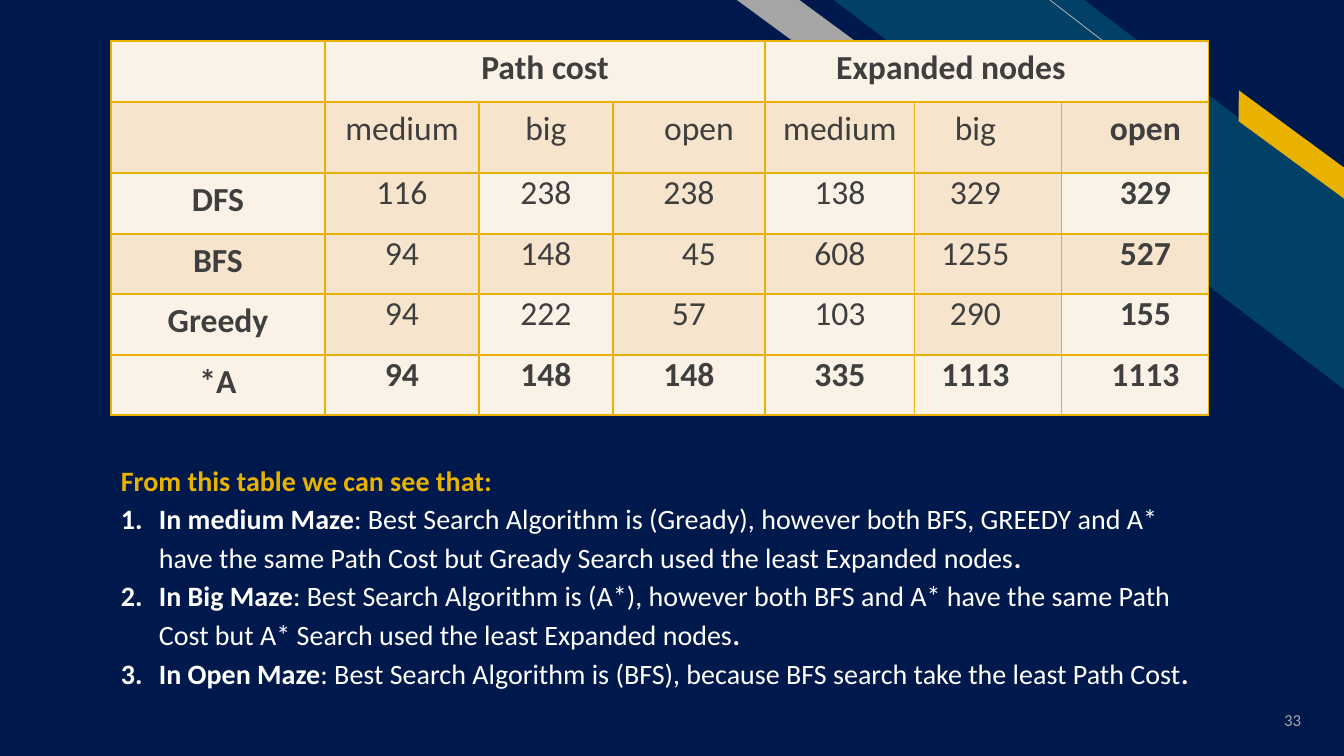
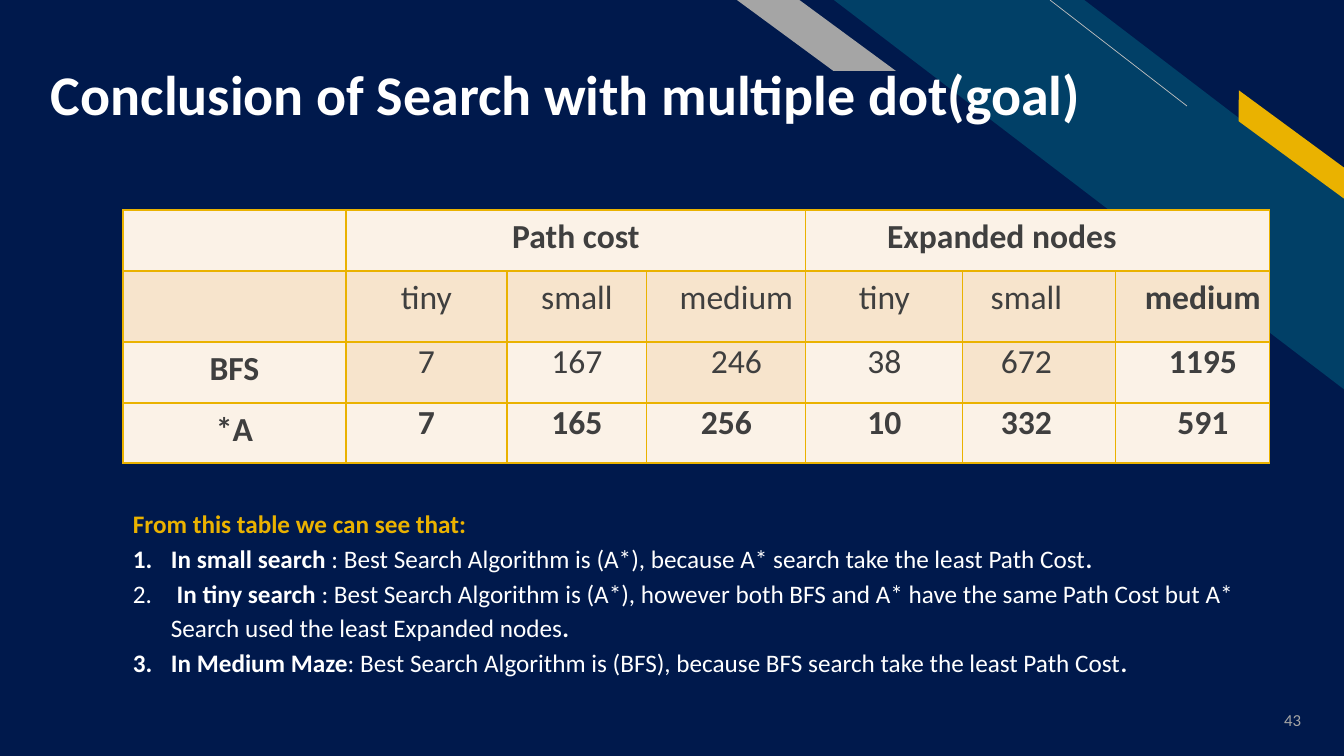
from dataclasses import dataclass

from lxml.etree import SubElement
from pptx import Presentation
from pptx.dml.color import RGBColor
from pptx.enum.shapes import MSO_CONNECTOR, MSO_SHAPE
from pptx.enum.text import MSO_ANCHOR, PP_ALIGN
from pptx.oxml.ns import qn
from pptx.util import Emu, Pt


@dataclass(frozen=True)
class Theme:
    font: str = "Calibri"
    navy: str = "00194C"
    teal: str = "014067"
    gold: str = "EAB200"
    gray: str = "A5A5A5"
    hairline: str = "BFBFBF"
    white: str = "FFFFFF"
    ink: str = "3F3F3F"
    cream: str = "FBF2E7"
    tan: str = "F7E4CC"
    title_size: int = 40
    table_size: int = 24
    page_size: int = 12


THEME = Theme()
SLIDE_W, SLIDE_H = 1344, 756
EMU_PER_PX = 12192000 / SLIDE_W


def px(*lengths):
    """Turn px lengths into EMU."""
    return [Emu(round(length * EMU_PER_PX)) for length in lengths]


def write(paragraph, text, size, color=THEME.white, bold=False, align=None):
    """Add a formatted run to a paragraph."""
    if align is not None:
        paragraph.alignment = align
    run = paragraph.add_run()
    run.text = text
    run.font.name = THEME.font
    run.font.size = Pt(size)
    run.font.bold = bold
    run.font.color.rgb = RGBColor.from_string(color)


# Shared corner decoration: shape, box, rotation, adjustment, colour
STRIPES = [
    (MSO_SHAPE.DIAGONAL_STRIPE, (834, 0, 511, 390), 0, 0.51, THEME.teal),
    (MSO_SHAPE.PARALLELOGRAM, (1217, 132, 149, 25), 36.3, 0.72, THEME.gold),
    (MSO_SHAPE.PARALLELOGRAM, (737, 0, 159, 71), 0, 1.36, THEME.gray),
]

# Slide content
PAGES = [
    {
        "number": "33",
        "title": None,
        "table_at": (111, 41),
        "columns": [214, 154, 134, 152, 150, 147, 147],
        "mazes": ["medium", "big", "open"],
        "results": [
            ["DFS", "116", "238", "238", "138", "329", "329"],
            ["BFS", "94", "148", "45", "608", "1255", "527"],
            ["Greedy", "94", "222", "57", "103", "290", "155"],
            ["*A", "94", "148", "148", "335", "1113", "1113"],
        ],
        "nudged_row": 3,
        "findings_box": (111, 453, 1098, 243),
        "findings_size": 20,
        "findings": [
            ("", "In medium Maze", ": Best Search Algorithm is (Gready), however both BFS, "
             "GREEDY and A* have the same Path Cost but Gready Search used the least "
             "Expanded nodes"),
            ("", "In Big Maze", ": Best Search Algorithm is (A*), however both BFS and A* "
             "have the same Path Cost but A* Search used the least Expanded nodes"),
            ("", "In Open Maze", ": Best Search Algorithm is (BFS), because BFS search take "
             "the least Path Cost"),
        ],
    },
    {
        "number": "43",
        "title": "Conclusion of Search with multiple dot(goal)",
        "table_at": (123, 210),
        "columns": [223, 161, 140, 159, 157, 153, 154],
        "mazes": ["tiny", "small", "medium"],
        "results": [
            ["BFS", "7", "167", "246", "38", "672", "1195"],
            ["*A", "7", "165", "256", "10", "332", "591"],
        ],
        "nudged_row": 2,
        "findings_box": (123, 499, 1147, 183),
        "findings_size": 18,
        "findings": [
            ("", "In small search ", ": Best Search Algorithm is (A*), because A* search "
             "take the least Path Cost"),
            (" ", "In tiny search ", ": Best Search Algorithm is (A*), however both BFS and "
             "A* have the same Path Cost but A* Search used the least Expanded nodes"),
            ("", "In Medium Maze", ": Best Search Algorithm is (BFS), because BFS search "
             "take the least Path Cost"),
        ],
    },
]

prs = Presentation()
prs.slide_width, prs.slide_height = px(SLIDE_W, SLIDE_H)

for page in PAGES:
    slide = prs.slides.add_slide(prs.slide_layouts[6])
    slide.background.fill.solid()
    slide.background.fill.fore_color.rgb = RGBColor.from_string(THEME.navy)

    # Corner decoration
    for preset, box, rotation, adjustment, color in STRIPES:
        stripe = slide.shapes.add_shape(preset, *px(*box))
        stripe.shadow.inherit = False
        stripe.adjustments[0] = adjustment
        stripe.rotation = rotation
        stripe.fill.solid()
        stripe.fill.fore_color.rgb = RGBColor.from_string(color)
        stripe.line.fill.background()
        stripe._element.spPr.find(qn("a:xfrm")).set("flipH", "1")
    hairline = slide.shapes.add_connector(MSO_CONNECTOR.STRAIGHT, *px(1187, 106, 1050, 0))
    hairline.line.color.rgb = RGBColor.from_string(THEME.hairline)
    hairline.line.width = Pt(0.5)
    SubElement(hairline._element.spPr, qn("a:effectLst"))

    # Page number
    page_number = slide.shapes.add_textbox(*px(1229, 700, 82, 40)).text_frame
    page_number.word_wrap = True
    page_number.vertical_anchor = MSO_ANCHOR.MIDDLE
    write(page_number.paragraphs[0], page["number"], THEME.page_size,
          color=THEME.gray, align=PP_ALIGN.RIGHT)

    # Title
    if page["title"]:
        title = slide.shapes.add_textbox(*px(41, 55, 1062, 78)).text_frame
        title.word_wrap = False
        write(title.paragraphs[0], page["title"], THEME.title_size, bold=True)

    # Results table
    rows = [
        ["", "Path cost", "", "", "Expanded nodes", "", ""],
        ["", *page["mazes"], *page["mazes"]],
        *page["results"],
    ]
    last_row = len(rows) - 1
    last_column = len(page["columns"]) - 1
    heights = [71 if r == 1 else 60 + (r + 1) % 2 for r in range(len(rows))]
    results = slide.shapes.add_table(
        len(rows), len(page["columns"]),
        *px(*page["table_at"], sum(page["columns"]), sum(heights))).table
    results.first_row = results.horz_banding = False
    for column, width in zip(results.columns, px(*page["columns"])):
        column.width = width
    for row, height in zip(results.rows, px(*heights)):
        row.height = height
    for first in (1, 4):
        results.cell(0, first).merge(results.cell(0, first + 2))

    for r, row in enumerate(rows):
        for c, text in enumerate(row):
            cell = results.cell(r, c)

            # Borders, heavier above the last row
            heavy_side = {last_row: "T", last_row - 1: "B"}.get(r)
            for side in "LRTB":
                border = SubElement(cell._tc.get_or_add_tcPr(), qn(f"a:ln{side}"),
                                    w=str(Pt(2 if side == heavy_side else 1)))
                SubElement(SubElement(border, qn("a:solidFill")), qn("a:srgbClr"),
                           val=THEME.gold)

            # Fill: checkered on even result rows
            is_tan = 0 < r < last_row and (r % 2 == 1 or c % 2 == 1)
            cell.fill.solid()
            cell.fill.fore_color.rgb = RGBColor.from_string(THEME.tan if is_tan else THEME.cream)

            # Text, moved off centre in some columns
            shift = 0
            if r == 0:
                shift = -36 if c == 4 else 0
            elif c == 3:
                shift = 10 if r in (1, page["nudged_row"]) else 0
            elif c > 4:
                shift = 10 if c == last_column else -13
            is_number = r > 1 and c > 0
            cell.margin_left, cell.margin_right, cell.margin_top, cell.margin_bottom = px(
                max(0, 2 * shift), max(0, -2 * shift), 0 if is_number else 7, 0)
            if text:
                write(cell.text_frame.paragraphs[0], text, THEME.table_size, color=THEME.ink,
                      bold=r in (0, last_row) or c in (0, last_column),
                      align=PP_ALIGN.CENTER)

    # Findings
    size = page["findings_size"]
    findings = slide.shapes.add_textbox(*px(*page["findings_box"])).text_frame
    findings.word_wrap = True
    heading = findings.paragraphs[0]
    heading.line_spacing = 1.15
    write(heading, "From this table we can see that:", size, color=THEME.gold, bold=True)
    indent = px(38)[0]
    for lead, maze, finding in page["findings"]:
        item = findings.add_paragraph()
        item.line_spacing = 1.15
        properties = item._p.get_or_add_pPr()
        properties.set("marL", str(indent))
        properties.set("indent", str(-indent))
        SubElement(properties, qn("a:buFont"), typeface="+mj-lt")
        SubElement(properties, qn("a:buAutoNum"), type="arabicPeriod")
        if lead:
            write(item, lead, size)
        write(item, maze, size, bold=True)
        write(item, finding, size)
        write(item, ".", size, bold=True)

prs.save("out.pptx")
